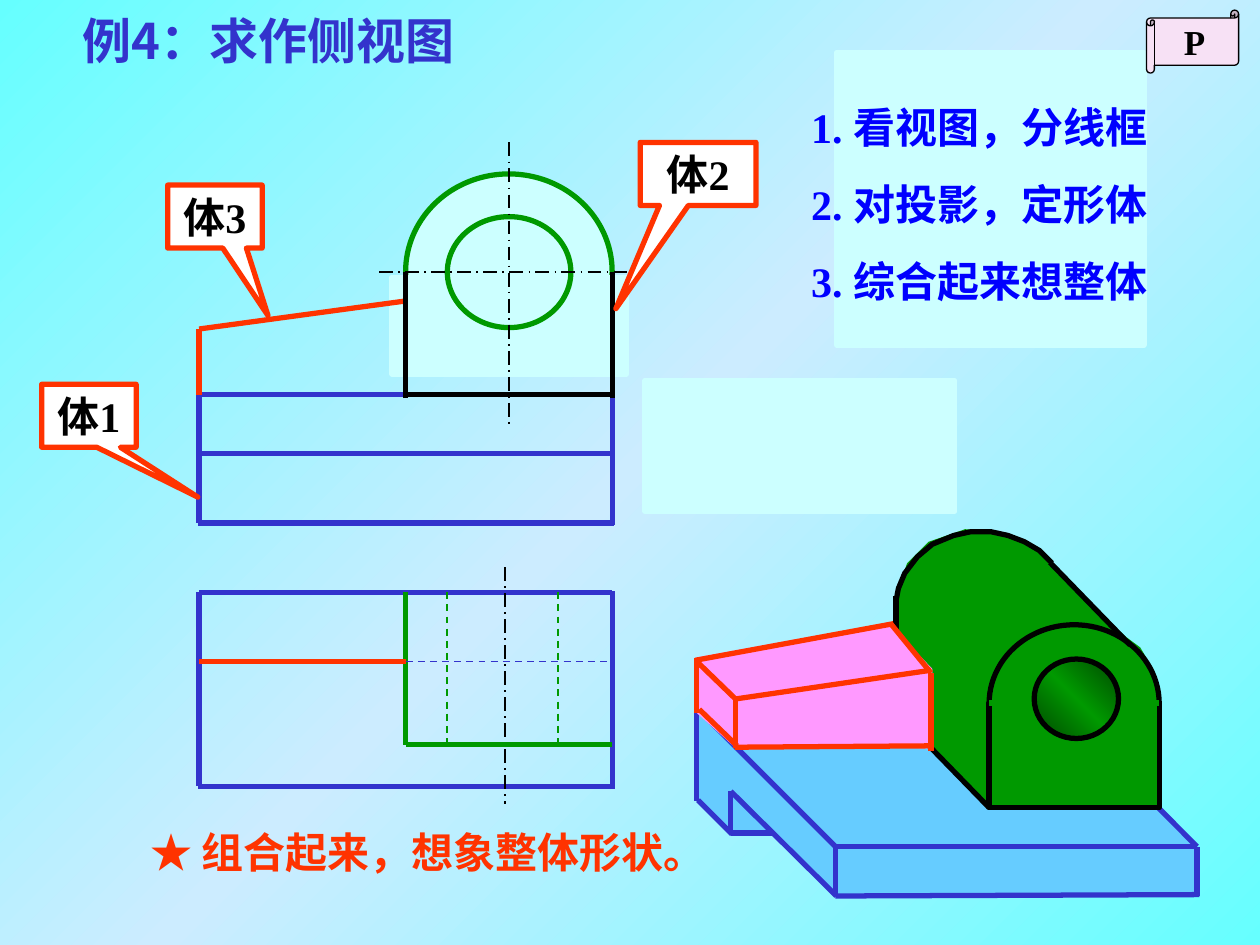
from copy import deepcopy

from pptx import Presentation
from pptx.dml.color import RGBColor
from pptx.enum.dml import MSO_LINE
from pptx.enum.shapes import MSO_CONNECTOR, MSO_SHAPE
from pptx.enum.text import MSO_ANCHOR, PP_ALIGN
from pptx.oxml import parse_xml
from pptx.oxml.ns import nsdecls, qn
from pptx.util import Pt

BLACK = RGBColor(0x00, 0x00, 0x00)
WHITE = RGBColor(0xFF, 0xFF, 0xFF)
INDIGO = RGBColor(0x33, 0x33, 0xCC)
BLUE = RGBColor(0x00, 0x00, 0xFF)
SKY = RGBColor(0x66, 0xCC, 0xFF)
CYAN = RGBColor(0x66, 0xFF, 0xFF)
PALE_BLUE = RGBColor(0xCC, 0xEC, 0xFF)
PALE_CYAN = RGBColor(0xCC, 0xFF, 0xFF)
GREEN = RGBColor(0x00, 0x99, 0x00)
DARK_GREEN = RGBColor(0x00, 0x47, 0x00)
RED = RGBColor(0xFF, 0x33, 0x00)
PINK = RGBColor(0xFF, 0x99, 0xFF)
LILAC = RGBColor(0xF7, 0xE1, 0xF5)

SERIF, CJK = "Times New Roman", "Noto Sans CJK SC"
OVAL, RECT = MSO_SHAPE.OVAL, MSO_SHAPE.RECTANGLE
AXIS, HIDDEN = MSO_LINE.LONG_DASH_DOT, MSO_LINE.DASH


def write(sp, text, size=24, color=BLACK, font=SERIF, align=PP_ALIGN.CENTER,
          anchor=MSO_ANCHOR.MIDDLE, wrap=False, gap=0):
    """Fill a shape with bold text, one paragraph a line, gap points apart."""
    tf = sp.text_frame
    tf.word_wrap = wrap
    tf.vertical_anchor = anchor
    for i, line in enumerate(text.split("\n")):
        p = tf.add_paragraph() if i else tf.paragraphs[0]
        p.alignment = align
        if i:
            p.space_before = Pt(gap)
        r = p.add_run()
        r.text = line
        r.font.name, r.font.size, r.font.bold = font, Pt(size), True
        r.font.color.rgb = color
        r.font._element.find(qn("a:latin")).addnext(
            parse_xml(f'<a:ea {nsdecls("a")} typeface="{CJK}"/>'))


def style(sp, fill, line, width=3):
    sp.shadow.inherit = False
    if fill is None:
        sp.fill.background()
    else:
        sp.fill.solid()
        sp.fill.fore_color.rgb = fill
    if line is None:
        sp.line.fill.background()
    else:
        sp.line.color.rgb = line
        sp.line.width = Pt(width)


prs = Presentation()
prs.slide_width, prs.slide_height = Pt(720), Pt(540)
s = prs.slides.add_slide(prs.slide_layouts[6])

# Edges shared by the front view and the plan view
LEFT, MID, RIGHT = 113.8, 231.8, 350
BORE_LEFT, BORE_RIGHT = 255.6, 319
AXIS_Y, TOP, STEP, BOTTOM = 155.5, 225.4, 259.2, 298.8
PLAN_TOP, PLAN_MID, PLAN_FRONT, PLAN_BOTTOM = 338.4, 378, 425.5, 449.3

# From back to front:
#   preset shape: (kind, (left, top, width, height), fill, line)
#   outline:      ("outline", points, fill, line), closed when it has no line
#   lines:        ("lines", segments, colour, dash), thin when dashed
drawing = [
    # Front view
    ("lines", [(RIGHT, TOP, LEFT, TOP)], INDIGO, None),
    (OVAL, (MID, 99.4, 118, 111.6), PALE_CYAN, GREEN),
    (RECT, (224, 158.4, 134, 55.4), PALE_CYAN, PALE_CYAN),
    (OVAL, (BORE_LEFT, 123.8, 70.6, 63.4), PALE_CYAN, GREEN),
    ("lines", [(216.7, AXIS_Y, 365.8, AXIS_Y), (290.9, 81.4, 290.9, 242.6)], BLACK, AXIS),
    ("lines", [(MID, TOP, RIGHT, TOP), (RIGHT, 227.5, RIGHT, AXIS_Y)], BLACK, None),
    ("lines", [(LEFT, TOP, LEFT, BOTTOM), (113, BOTTOM, 351, BOTTOM),
               (RIGHT, 227.5, RIGHT, 300), (LEFT, STEP, RIGHT, STEP)], INDIGO, None),
    ("lines", [(LEFT, 226, LEFT, 188), (MID, 227.5, MID, 172),
               (LEFT, 188, MID, 172)], RED, None),
    ("lines", [(MID, AXIS_Y, MID, 227.5)], BLACK, None),
    # Plan view
    ("lines", [(LEFT, PLAN_TOP, RIGHT, PLAN_TOP), (LEFT, PLAN_TOP, LEFT, PLAN_BOTTOM),
               (113, PLAN_BOTTOM, RIGHT, PLAN_BOTTOM), (RIGHT, 451, RIGHT, 337.5)],
     INDIGO, None),
    ("lines", [(288.7, 324, 288.7, 459.4)], BLACK, AXIS),
    ("lines", [(MID, PLAN_TOP, MID, PLAN_FRONT),
               (MID, PLAN_FRONT, RIGHT, PLAN_FRONT)], GREEN, None),
    ("lines", [(x, PLAN_TOP, x, PLAN_FRONT) for x in (BORE_LEFT, BORE_RIGHT)],
     GREEN, HIDDEN),
    ("lines", [(LEFT, PLAN_MID, MID, PLAN_MID)], RED, None),
    ("lines", [(MID, PLAN_MID, RIGHT, PLAN_MID)], INDIGO, HIDDEN),
    # Solid: base plate
    ("outline", [(419, 453.6), (416.2, 474.5), (443.5, 476.6)], SKY, None),
    ("outline", [(399.6, 403.2), (397.4, 453.6), (418.3, 474.5), (419.8, 455.8),
                 (478, 512), (682.6, 512), (684.7, 483.8), (605.5, 403.2)], SKY, None),
    ("lines", [(477.4, 483.8, 684, 483.8), (477.4, 483.8, 477.4, 512),
               (398.2, 404, 604.8, 404), (604.8, 404, 684, 483.8),
               (398.2, 404.6, 477.4, 483.8), (684, 483.8, 684, 512),
               (477.4, 512, 685.4, 511.2), (398.2, 404.6, 398.2, 457.9),
               (398.9, 457.2, 418.3, 476.6), (478, 512, 417.6, 452.2),
               (417.6, 452.2, 417.6, 476), (417.6, 476, 441.4, 476)], INDIGO, None),
    # Solid: bored upright
    (RECT, (478, 30.2, 175.7, 167), PALE_CYAN, PALE_CYAN),
    ("outline", [(512, 406), (563.8, 461.5), (661.7, 460), (661.7, 397.4), (658, 380.9),
                 (651.6, 370), (643, 363.6), (586.8, 309.6), (571, 303.8),
                 (551.5, 302.4), (530.6, 309.6), (518.4, 321.8), (512, 339.8)],
     GREEN, None),
    (OVAL, (565.2, 357, 97.2, 90), GREEN, BLACK),
    (RECT, (565.2, 401.8, 97.2, 59.8), GREEN, BLACK),
    ("lines", [(565.2, 401.8, 662.4, 401.8)], GREEN, None),
    ("lines", [(565.2, 461.5, 512, 406.8), (645.8, 368.6, 599, 320.4),
               (512, 408.2, 512, 340.6)], BLACK, None),
    ("outline", [(512, 343.4), (513.4, 336.2), (517, 327.6), (524.2, 318.2),
                 (532.8, 311), (545, 306), (555, 303.8), (566, 303.8), (576, 306),
                 (585.4, 309.6), (594, 314.6), (601.2, 321.8)], GREEN, BLACK),
    (OVAL, (591, 376.6, 48.2, 45.4), GREEN, BLACK),
    # Solid: wedge
    ("outline", [(397.4, 375.8), (398.2, 407.5), (419, 426.2), (532, 427.7),
                 (532.8, 382.3), (507.6, 355.7)], PINK, None),
    ("lines", [(419.8, 427, 532, 426.2), (532, 429, 532, 384.5),
               (420.5, 427.7, 420.5, 399), (419, 399.6, 532, 383),
               (420.5, 399.6, 398.2, 378), (532, 384.5, 509, 356.4),
               (397.4, 377.3, 510.5, 356.4), (398.2, 407.5, 398.2, 375.8),
               (421.2, 426.2, 399.6, 405.4)], RED, None),
    (RECT, (368.6, 217.4, 177, 74.9), PALE_CYAN, PALE_CYAN),
]

for kind, geometry, color, extra in drawing:
    if kind == "lines":
        for segment in geometry:
            line = s.shapes.add_connector(MSO_CONNECTOR.STRAIGHT, *map(Pt, segment))
            line.line.color.rgb = color
            line.line.width = Pt(1 if extra else 3)
            if extra:
                line.line.dash_style = extra
            line._element.spPr.append(parse_xml(f'<a:effectLst {nsdecls("a")}/>'))
    elif kind == "outline":
        start, *rest = [(Pt(x), Pt(y)) for x, y in geometry]
        builder = s.shapes.build_freeform(*start)
        builder.add_line_segments(rest, close=extra is None)
        style(builder.convert_to_shape(), color, extra)
    else:
        sp = s.shapes.add_shape(kind, *map(Pt, geometry))
        style(sp, color, extra)
        if geometry[0] == 591:
            bore = sp

# Gradients run from the edge colour to the middle colour and back
for owner, fill, edge, middle, angle in [
    (s._element, s.background.fill, CYAN, PALE_BLUE, 315),
    (bore._element, bore.fill, DARK_GREEN, GREEN, 45),
]:
    fill.gradient()
    fill.gradient_angle = angle
    first, second = fill.gradient_stops
    first.color.rgb, second.color.rgb = edge, middle
    first.position, second.position = 0, 0.5
    stops = owner.find(f".//{qn('a:gsLst')}")
    last = deepcopy(stops[0])
    last.set("pos", "100000")
    stops.append(last)

for text, box, tip in [
    ("体1", (23.8, 219.6, 54, 36), (1.153, 1.292)),
    ("体2", (365.8, 81.4, 66.2, 36), (-0.71, 2.139)),
    ("体3", (95.8, 105.8, 54, 36), (0.562, 1.573)),
]:
    sp = s.shapes.add_shape(MSO_SHAPE.RECTANGULAR_CALLOUT, *map(Pt, box))
    sp.adjustments[0], sp.adjustments[1] = tip
    style(sp, WHITE, RED)
    write(sp, text)

scroll = s.shapes.add_shape(MSO_SHAPE.HORIZONTAL_SCROLL, Pt(655.2), Pt(5.8), Pt(52.6), Pt(36))
style(scroll, LILAC, BLACK, 0.75)
write(scroll, "P", size=20)

for text, box, options in [
    ("★ 组合起来，想象整体形状。", (67.7, 468.7, 329.8, 36), dict(color=RED, wrap=True)),
    ("例4：求作侧视图", (40.3, 2.2, 240.5, 41),
     dict(size=28, color=INDIGO, font=CJK, align=PP_ALIGN.LEFT)),
    ("1. 看视图，分线框\n2. 对投影，定形体\n3. 综合起来想整体", (456.5, 54.7, 247.7, 123.8),
     dict(color=BLUE, align=PP_ALIGN.LEFT, anchor=MSO_ANCHOR.TOP, wrap=True, gap=15)),
]:
    write(s.shapes.add_textbox(*map(Pt, box)), text, **options)

prs.save("out.pptx")
